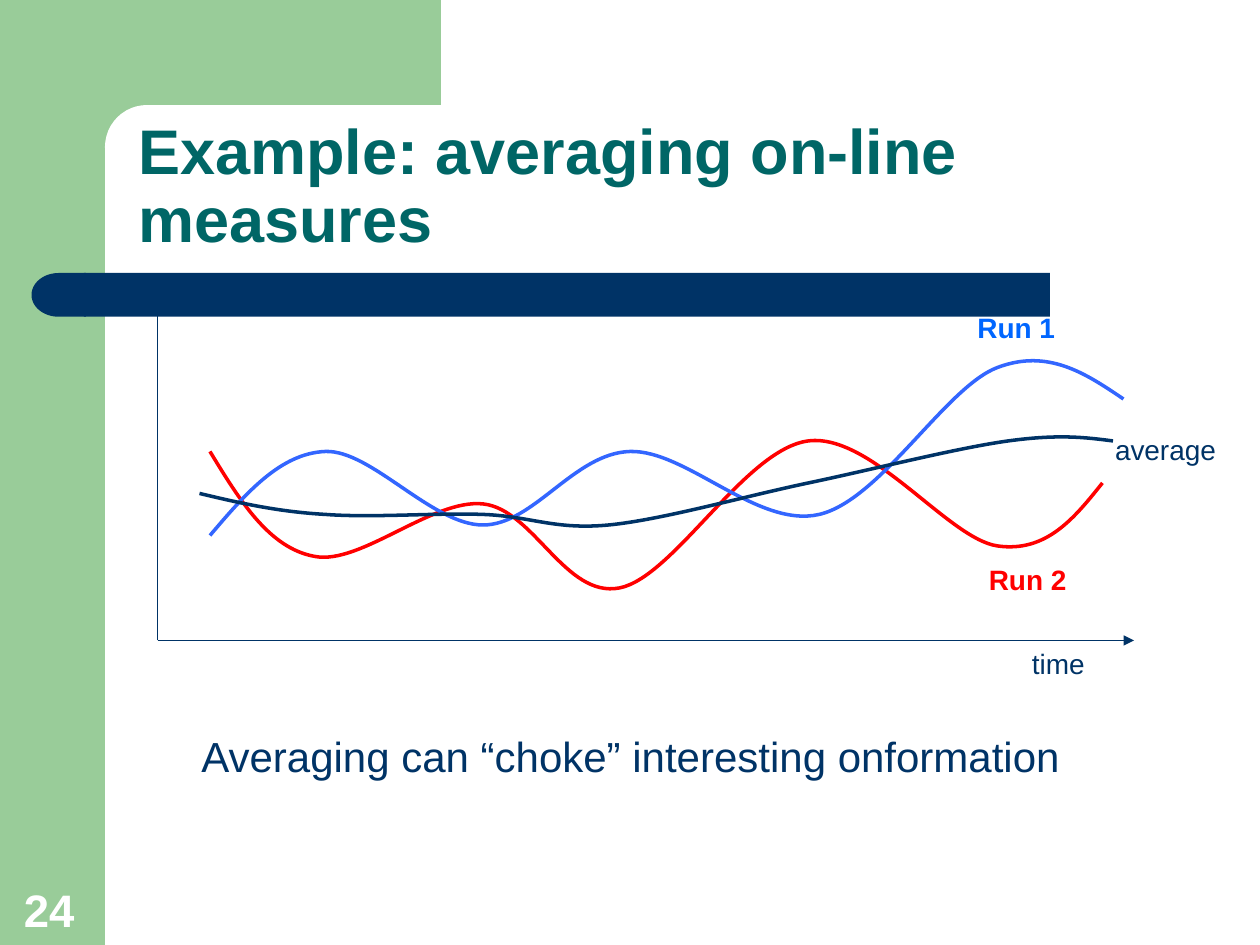
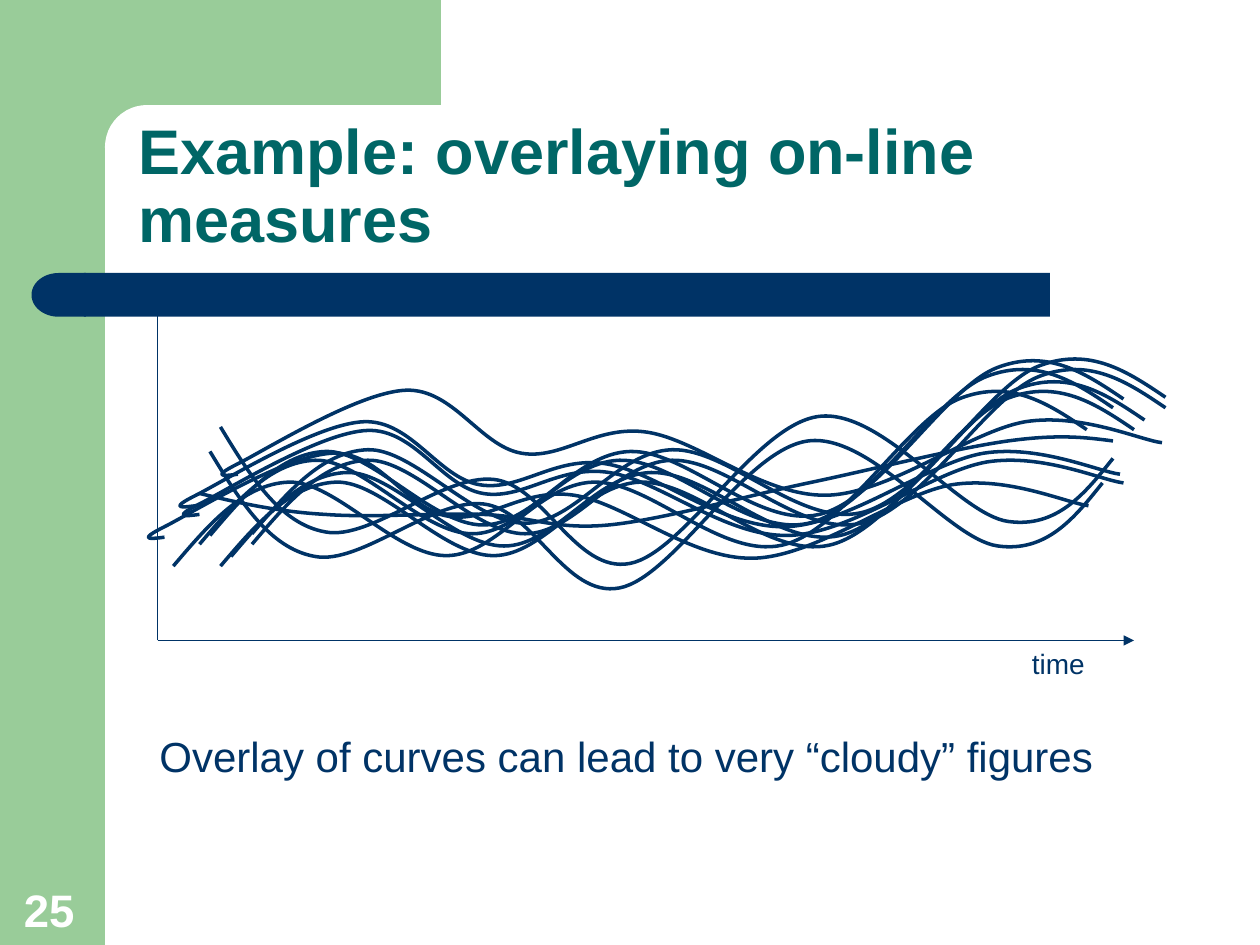
from dataclasses import dataclass

import lxml.etree
import pptx
import pptx.dml.color
import pptx.enum.shapes
import pptx.enum.text
import pptx.oxml.ns
import pptx.util

PX = 6350  # EMU per px, 144 px to the inch
SHAPE = pptx.enum.shapes.MSO_SHAPE
ANCHOR = pptx.enum.text.MSO_ANCHOR
ALIGN = pptx.enum.text.PP_ALIGN
qn = pptx.oxml.ns.qn


@dataclass(frozen=True)
class Theme:
    font: str = "Arial"
    green: str = "99CC99"
    navy: str = "003366"
    teal: str = "006666"
    white: str = "FFFFFF"
    red: str = "FF0000"
    blue: str = "3366FF"
    label_blue: str = "0066FF"
    title_size: int = 36
    caption_size: int = 24
    label_size: int = 16
    number_size: int = 26
    axis_width: float = 0.75
    curve_width: float = 2


THEME = Theme()

# Each curve is a start point followed by Bezier triples.
RUN_1 = [
    (240, 612),
    (280, 565), (320, 518), (372, 516),
    (424, 514), (494, 600), (552, 600),
    (610, 600), (656, 518), (720, 516),
    (784, 514), (866, 604), (936, 588),
    (1006, 572), (1081, 442), (1140, 420),
    (1198, 398), (1241, 427), (1284, 456),
]
RUN_2 = [
    (240, 516),
    (274, 572), (308, 627), (360, 636),
    (412, 646), (494, 570), (552, 576),
    (610, 582), (646, 684), (708, 672),
    (770, 660), (852, 513), (924, 504),
    (996, 495), (1084, 616), (1140, 624),
    (1196, 632), (1228, 592), (1260, 552),
]
AVERAGE = [
    (228, 564),
    (274, 575), (318, 585), (372, 588),
    (426, 592), (498, 586), (552, 588),
    (606, 590), (634, 606), (696, 600),
    (757, 594), (848, 568), (924, 552),
    (1000, 536), (1094, 512), (1152, 504),
    (1210, 496), (1241, 500), (1272, 504),
]
HOOKED_RUN = [
    (228, 588),
    (212, 590), (196, 592), (228, 576),
    (260, 560), (366, 494), (420, 492),
    (474, 490), (505, 556), (552, 564),
    (598, 572), (638, 531), (696, 540),
    (754, 549), (828, 613), (900, 612),
    (972, 611), (1064, 539), (1128, 528),
    (1192, 518), (1259, 549), (1284, 552),
]

# Overlaid runs: a curve and the (right, down) shifts at which it appears.
OVERLAY = [
    (RUN_2, [(0, 0), (12, -28)]),
    (RUN_1, [(0, 0), (-12, 10), (12, 35), (48, -2), (24, 24), (-42, 35), (48, 10)]),
    (AVERAGE, [(0, 0)]),
    (HOOKED_RUN, [(0, 0), (-4, -10), (44, -46), (-40, 26)]),
]


def rgb(value):
    return pptx.dml.color.RGBColor.from_string(value)


def px(*lengths):
    return [pptx.util.Emu(length * PX) for length in lengths]


def add_block(page, kind, area, color):
    block = page.shapes.add_shape(kind, *px(*area))
    block.shadow.inherit = False
    block.fill.solid()
    block.fill.fore_color.rgb = rgb(color)
    block.line.fill.background()
    return block


def add_text(page, area, text, size, color, bold=False, wrap=True,
             align=ALIGN.LEFT, anchor=ANCHOR.TOP, spacing=None):
    box = page.shapes.add_textbox(*px(*area))
    frame = box.text_frame
    frame.word_wrap = wrap
    frame.vertical_anchor = anchor
    frame.text = text
    para = frame.paragraphs[0]
    para.alignment = align
    para.line_spacing = spacing
    font = para.runs[0].font
    font.name = THEME.font
    font.size = pptx.util.Pt(size)
    font.bold = bold
    font.color.rgb = rgb(color)


def add_label(page, area, text, color, bold=False):
    add_text(page, area, text, THEME.label_size, color, bold,
             wrap=False, align=ALIGN.CENTER)


def add_axis(page, start, end):
    axis = page.shapes.add_connector(
        pptx.enum.shapes.MSO_CONNECTOR.STRAIGHT, *px(*start, *end))
    axis.line.color.rgb = rgb(THEME.navy)
    axis.line.width = pptx.util.Pt(THEME.axis_width)
    line = axis.line._get_or_add_ln()
    lxml.etree.SubElement(line, qn("a:tailEnd"), type="triangle")
    lxml.etree.SubElement(axis.element.spPr, qn("a:effectLst"))


def add_curve(page, points, color, shift=(0, 0)):
    """Draw an open outline, then turn each three segments into one Bezier."""
    right, down = shift
    moved = [(x + right, y + down) for x, y in points]
    builder = page.shapes.build_freeform(*moved[0], scale=PX)
    builder.add_line_segments(moved[1:], close=False)
    curve = builder.convert_to_shape()
    curve.shadow.inherit = False
    curve.fill.background()
    curve.line.color.rgb = rgb(color)
    curve.line.width = pptx.util.Pt(THEME.curve_width)
    segments = list(curve.element.iter(qn("a:lnTo")))
    outline = segments[0].getparent()
    for first in range(0, len(segments), 3):
        bezier = lxml.etree.SubElement(outline, qn("a:cubicBezTo"))
        for segment in segments[first:first + 3]:
            bezier.append(segment[0])
            outline.remove(segment)


def add_page(deck, title, number):
    """Start a page with the shared bands, title and page number."""
    page = deck.slides.add_slide(deck.slide_layouts[6])
    add_block(page, SHAPE.RECTANGLE, (0, 0, 120, 1080), THEME.green)
    add_block(page, SHAPE.RECTANGLE, (108, 0, 396, 168), THEME.green)
    corner = add_block(page, SHAPE.ROUNDED_RECTANGLE, (120, 120, 804, 96), THEME.white)
    corner.adjustments[0] = 0.5
    add_block(page, SHAPE.RECTANGLE, (96, 312, 1104, 50), THEME.navy)
    band_end = add_block(page, SHAPE.FLOWCHART_DELAY, (36, 312, 62, 50), THEME.navy)
    band_end.rotation = 180
    add_text(page, (144, 120, 1260, 180), title, THEME.title_size, THEME.teal,
             bold=True, anchor=ANCHOR.BOTTOM, spacing=0.9)
    add_text(page, (13, 999, 92, 78), str(number), THEME.number_size, THEME.white,
             bold=True, anchor=ANCHOR.BOTTOM)
    return page


def add_time_axes(page):
    origin = (180, 732)
    add_axis(page, origin, (1296, 732))
    add_axis(page, origin, (180, 348))
    add_label(page, (1165, 732, 89, 53), "time", THEME.navy)


def add_caption(page, left, width, text):
    add_text(page, (left, 828, width, 72), text, THEME.caption_size, THEME.navy)


def add_averaging_page(deck):
    page = add_page(deck, "Example: averaging on-line measures", 24)
    add_time_axes(page)
    add_curve(page, RUN_2, THEME.red)
    add_label(page, (1116, 636, 117, 53), "Run 2", THEME.red, bold=True)
    add_curve(page, RUN_1, THEME.blue)
    add_label(page, (1103, 348, 117, 53), "Run 1", THEME.label_blue, bold=True)
    add_curve(page, AVERAGE, THEME.navy)
    add_label(page, (1260, 487, 144, 53), "average", THEME.navy)
    add_caption(page, 216, 1037, "Averaging can “choke” interesting onformation")


def add_overlay_page(deck):
    page = add_page(deck, "Example: overlaying on-line measures", 25)
    add_time_axes(page)
    for points, shifts in OVERLAY:
        for shift in shifts:
            add_curve(page, points, THEME.navy, shift)
    add_caption(page, 168, 1110, "Overlay of curves can lead to very “cloudy” figures")


def main():
    deck = pptx.Presentation()
    deck.slide_width, deck.slide_height = px(1440, 1080)
    add_averaging_page(deck)
    add_overlay_page(deck)
    deck.save("out.pptx")


if __name__ == "__main__":
    main()
